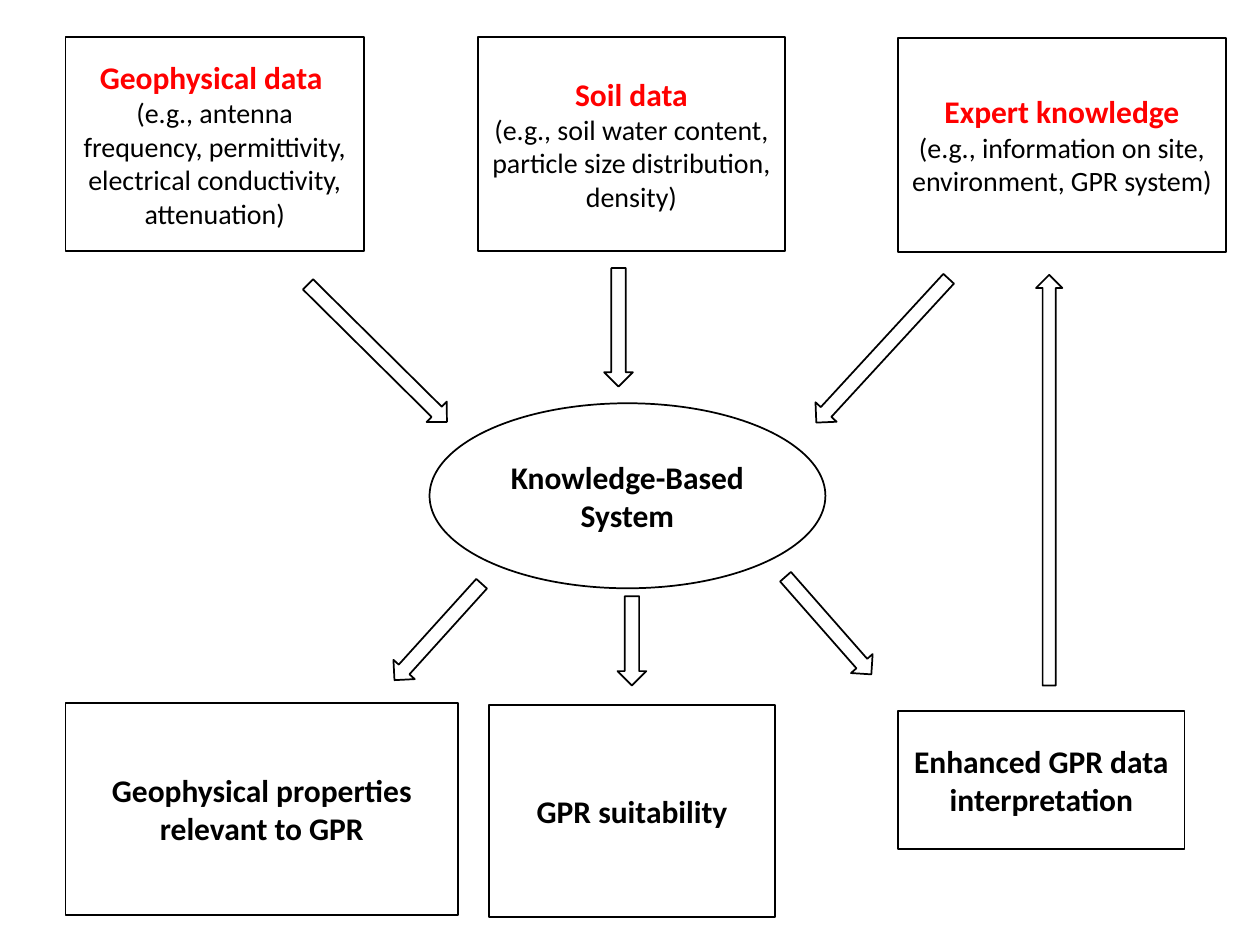
from pptx import Presentation
from pptx.dml.color import RGBColor
from pptx.enum.shapes import MSO_SHAPE as Shape
from pptx.enum.text import MSO_ANCHOR as Anchor, PP_ALIGN as Align
from pptx.util import Cm, Pt

BLACK = "000000"
RED = "FF0000"

# Boxes: left, top, width, height within the region, heading, examples
INPUTS = [
    (0, 0, 6.02, 4.32, "Geophysical data ",
     "(e.g., antenna frequency, permittivity, electrical conductivity, attenuation)"),
    (8.31, 0, 6.2, 4.32, "Soil data",
     "(e.g., soil water content, particle size distribution, density)"),
    (16.79, 0.02, 6.6, 4.32, "Expert knowledge",
     "(e.g., information on site, environment, GPR system) "),
]
OUTPUTS = [
    (0, 0, 7.92, 4.27, "Geophysical properties relevant to GPR", None),
    (8.54, 0.05, 5.77, 4.27, "GPR suitability", None),
    (16.79, 0.16, 5.77, 2.79, "Enhanced GPR data interpretation", None),
]
# Arrows: centre x, centre y within the region, length, rotation
INPUT_ARROWS = [(6.29, 2.06, 3.94, 314.7), (11.15, 1.54, 2.39, 0),
                (16.47, 2.01, 3.94, 42.6)]
OUTPUT_ARROWS = [(7.51, 0.88, 2.62, 42.1), (11.42, 1.06, 1.8, 0),
                 (15.38, 0.75, 2.62, 318.7)]
FEEDBACK_ARROW = [(19.83, 4.62, 8.28, 180)]


def color(value):
    """Turn a hex string into a colour."""
    return RGBColor.from_string(value)


def add_outline(slide, kind, left, top, width, height):
    """Add an unfilled shape with a thin black line; lengths in cm."""
    shape = slide.shapes.add_shape(kind, Cm(left), Cm(top), Cm(width), Cm(height))
    shape.shadow.inherit = False
    shape.fill.background()
    shape.line.color.rgb = color(BLACK)
    shape.line.width = Pt(1)
    return shape


def write(paragraph, text, size=18, bold=True, ink=BLACK):
    """Write centred text into a paragraph."""
    paragraph.alignment = Align.CENTER
    run = paragraph.add_run()
    run.text = text
    run.font.name = "Calibri"
    run.font.size = Pt(size)
    run.font.bold = bold
    run.font.color.rgb = color(ink)


def add_node(slide, kind, box, heading, examples=None):
    """Add a shape with a heading and, for inputs, examples below it."""
    frame = add_outline(slide, kind, *box).text_frame
    frame.word_wrap = True
    frame.vertical_anchor = Anchor.MIDDLE
    write(frame.paragraphs[0], heading, ink=RED if examples else BLACK)
    if examples:
        write(frame.add_paragraph(), examples, size=16, bold=False)


def add_row(slide, left, top, nodes):
    """Add a row of boxes relative to the region's corner."""
    for x, y, width, height, heading, examples in nodes:
        add_node(slide, Shape.RECTANGLE, (left + x, top + y, width, height),
                 heading, examples)


def add_arrows(slide, left, top, arrows, width=0.58):
    """Add block arrows around their centres, relative to the region's corner."""
    for x, y, length, rotation in arrows:
        arrow = add_outline(slide, Shape.DOWN_ARROW, left + x - width / 2,
                            top + y - length / 2, width, length)
        arrow.rotation = rotation


def build():
    """Build the flow diagram and save it."""
    presentation = Presentation()
    presentation.slide_width = Cm(25.4)
    presentation.slide_height = Cm(19.05)
    slide = presentation.slides.add_slide(presentation.slide_layouts[6])
    left = 1.32
    add_row(slide, left, 0.74, INPUTS)
    add_arrows(slide, left, 5.06, INPUT_ARROWS)
    add_node(slide, Shape.OVAL, (8.66, 8.13, 7.98, 3.73), "Knowledge-Based System")
    add_arrows(slide, left, 11.86, OUTPUT_ARROWS)
    add_row(slide, left, 14.17, OUTPUTS)
    add_arrows(slide, left, 5.06, FEEDBACK_ARROW, width=0.53)
    presentation.save("out.pptx")


build()
